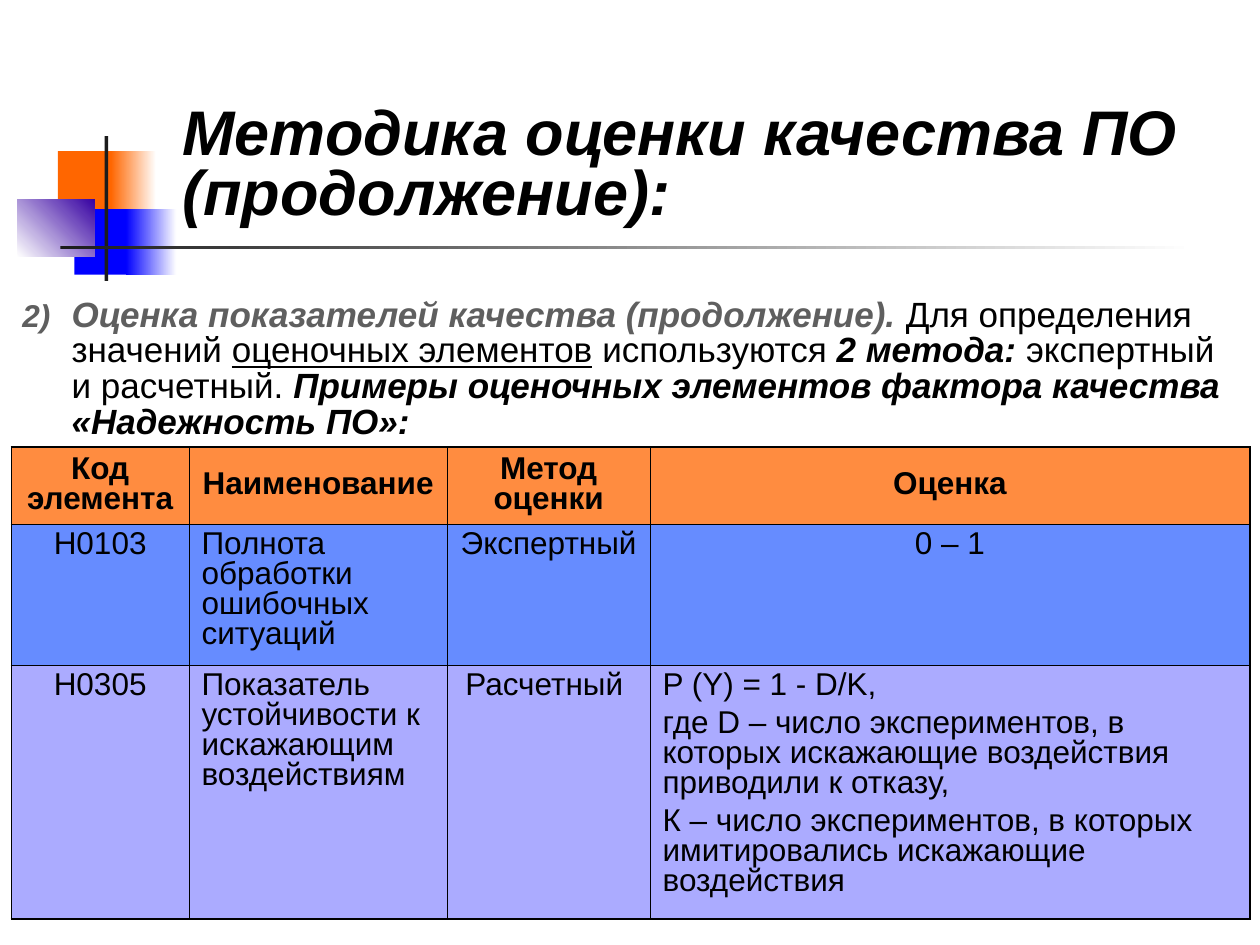
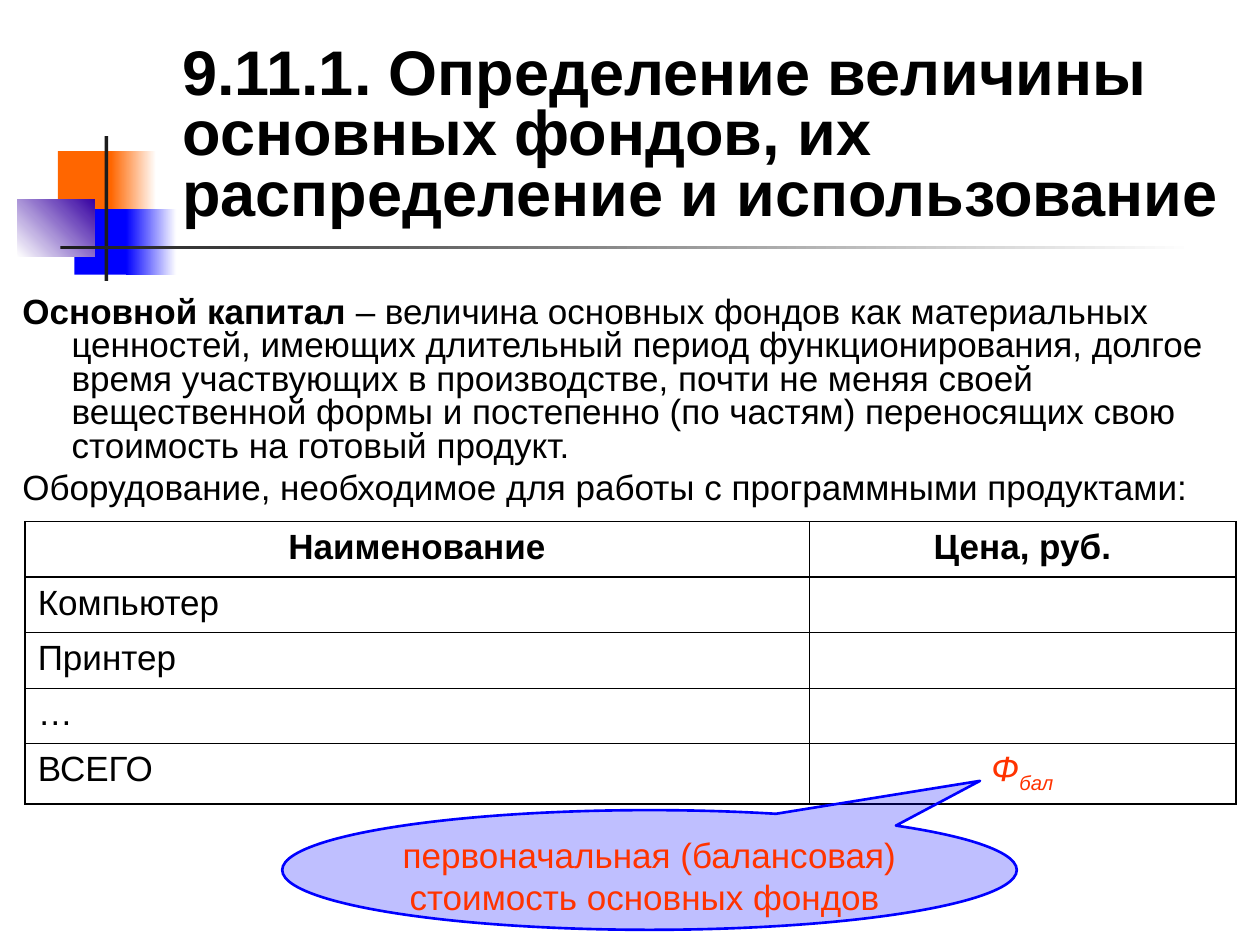
from dataclasses import dataclass

from pptx import Presentation
from pptx.dml.color import RGBColor
from pptx.enum.shapes import MSO_SHAPE as Preset
from pptx.enum.text import MSO_ANCHOR as Anchor, PP_ALIGN as Align
from pptx.oxml import parse_xml
from pptx.oxml.ns import nsdecls, qn
from pptx.util import Inches, Pt


@dataclass(frozen=True)
class Theme:
    font: str = "Arial"
    title: str = "333399"
    text: str = "000000"
    muted: str = "5F5F5F"
    accent: str = "FF3300"
    orange: str = "FF6600"
    blue: str = "0000FF"
    purple: str = "3702A2"
    dark: str = "1C1C1C"
    white: str = "FFFFFF"
    row_blue: str = "3366FF"
    row_lilac: str = "ABABFF"
    title_size: float = 36
    body_size: float = 20
    cell_size: float = 18
    thick: float = 1.08
    thin: float = 0.45


THEME = Theme()
BOLD = {"bold": True}
BOLD_ITALIC = {"bold": True, "italic": True}
MUTED = {**BOLD_ITALIC, "color": THEME.muted}
FORMULA = {"italic": True, "color": THEME.accent}

# Decoration beside the title: box, start colour, end colour, angle
DECORATION = [
    ((0.46, 1.2, 0.48, 0.52), THEME.orange, None, 0),
    ((0.88, 1.2, 0.36, 0.52), THEME.orange, THEME.white, 0),
    ((0.59, 1.66, 0.46, 0.52), THEME.blue, None, 0),
    ((1, 1.66, 0.4, 0.52), THEME.blue, THEME.white, 0),
    ((0.14, 1.58, 0.61, 0.46), THEME.white, THEME.purple, 45),
    ((0.83, 1.08, 0.03, 1.15), THEME.dark, None, 0),
    ((0.48, 1.95, 9, 0.03), THEME.dark, THEME.white, 0),
]

# A paragraph is a list of (text, format) runs
QUALITY = {
    "title": [("Методика оценки качества ПО (продолжение):", BOLD_ITALIC)],
    "title_box": (1.35, 0.13, 8.53, 1.73),
    "body": [[
        ("Оценка показателей качества (продолжение). ", MUTED),
        ("Для определения значений ", {}),
        ("оценочных элементов", {"underline": True}),
        (" используются ", {}),
        ("2 метода:", BOLD_ITALIC),
        (" экспертный и расчетный. ", {}),
        ("Примеры оценочных элементов фактора качества «Надежность ПО»:", BOLD_ITALIC),
    ]],
    "body_box": (0.08, 2.32, 9.86, 5.06),
    "body_spacing": 0.85,
    "first_number": 2,
    "table": {
        "at": (0.09, 3.55),
        "columns": [1.41, 2.05, 1.61, 4.76],
        "heights": [0.61, 1.12, 2.01],
        "rows": [
            ["Код элемента", "Наименование", "Метод оценки", "Оценка"],
            ["Н0103", "Полнота обработки ошибочных ситуаций", "Экспертный", "0 – 1"],
            ["Н0305", "Показатель устойчивости к искажающим воздействиям", "Расчетный ", [
                "P (Y) = 1 - D/K,",
                "где D – число экспериментов, в которых искажающие воздействия "
                "приводили к отказу,",
                "К – число экспериментов, в которых имитировались искажающие воздействия",
            ]],
        ],
        "fills": [(THEME.orange, 75), (THEME.row_blue, 75), (THEME.row_lilac, 100)],
        "left_cells": {(1, 1), (2, 1), (2, 3)},
        "size": THEME.cell_size,
        "line_spacing": 0.85,
        "space_before": 4.5,
        "header_anchor": Anchor.MIDDLE,
        "thick_rules": {0, 3},
    },
}

FUNDS = {
    "title": [("9.11.1. Определение величины основных фондов, их распределение "
               "и использование", BOLD)],
    "title_box": (1.35, 0.21, 8.53, 1.65),
    "body": [
        [("Основной капитал", BOLD),
         (" – величина основных фондов как материальных ценностей, имеющих длительный "
          "период функционирования, долгое время участвующих в производстве, почти не "
          "меняя своей вещественной формы и постепенно (по частям) переносящих свою "
          "стоимость на готовый продукт.", {})],
        [("Оборудование, необходимое для работы с программными продуктами:", {})],
    ],
    "body_box": (0.08, 2.31, 9.86, 1.84),
    "body_spacing": 0.8,
    "table": {
        "at": (0.2, 4.14),
        "columns": [6.22, 3.39],
        "heights": [0.44] * 4 + [0.48],
        "rows": [
            ["Наименование", "Цена, руб."],
            ["Компьютер", ""],
            ["Принтер", ""],
            ["…", ""],
            ["ВСЕГО", [[("Ф", FORMULA), ("бал", {**FORMULA, "baseline": -25})]]],
        ],
        "fills": [None] * 5,
        "left_cells": {(row, 0) for row in range(1, 5)},
        "size": THEME.body_size,
        "line_spacing": 1.0,
        "space_before": 5,
        "header_anchor": Anchor.TOP,
        "thick_rules": {0, 1, 5},
    },
    "callout": {
        "box": (2.24, 6.43, 5.83, 0.95),
        "tip": (0.45, -0.745),
        "text": [("первоначальная (балансовая) стоимость основных фондов ",
                  {"color": THEME.accent})],
    },
}


def inches(box):
    return [Inches(value) for value in box]


def rgb(color):
    return RGBColor.from_string(color)


def paint(fill, element, color, opacity=100):
    fill.solid()
    fill.fore_color.rgb = rgb(color)
    if opacity < 100:
        color_node = element.find(".//" + qn("a:srgbClr"))
        color_node.append(parse_xml(f'<a:alpha {nsdecls("a")} val="{opacity * 1000}"/>'))


def write(frame, paragraphs, size, space_before=0, **layout):
    """Fill a text frame with paragraphs of formatted runs."""
    frame.word_wrap = True
    for index, runs in enumerate(paragraphs):
        paragraph = frame.add_paragraph() if index else frame.paragraphs[0]
        settings = {**layout, "space_before": Pt(space_before if index else 0)}
        for name, value in settings.items():
            setattr(paragraph, name, value)
        for text, style in runs:
            run = paragraph.add_run()
            run.text = text
            font = {"name": THEME.font, "size": Pt(size), "bold": False, **style}
            run.font.color.rgb = rgb(font.pop("color", THEME.text))
            baseline = font.pop("baseline", 0)
            for name, value in font.items():
                setattr(run.font, name, value)
            if baseline:
                run.font._element.set("baseline", str(baseline * 1000))


def add_decoration(slide):
    for box, start, end, angle in DECORATION:
        shape = slide.shapes.add_shape(Preset.RECTANGLE, *inches(box))
        shape.shadow.inherit = False
        shape.line.fill.background()
        if end is None:
            paint(shape.fill, shape._element.spPr, start)
            continue
        shape.fill.gradient()
        shape.fill.gradient_angle = angle
        for stop, color, position in zip(shape.fill.gradient_stops, (start, end), (0, 1)):
            stop.color.rgb = rgb(color)
            stop.position = position


def add_title(slide, content):
    frame = slide.shapes.add_textbox(*inches(content["title_box"])).text_frame
    frame.vertical_anchor = Anchor.BOTTOM
    write(frame, [content["title"]], THEME.title_size, line_spacing=0.8)


def add_body(slide, content):
    frame = slide.shapes.add_textbox(*inches(content["body_box"])).text_frame
    write(frame, content["body"], THEME.body_size, 5, line_spacing=content["body_spacing"])
    for paragraph in frame.paragraphs:
        properties = paragraph._p.get_or_add_pPr()
        properties.set("marL", str(Inches(0.39)))
        properties.set("indent", str(-Inches(0.39)))
        if "first_number" in content:
            for node in (
                f'<a:buClr {nsdecls("a")}><a:srgbClr val="{THEME.muted}"/></a:buClr>',
                f'<a:buSzPct {nsdecls("a")} val="90000"/>',
                f'<a:buAutoNum {nsdecls("a")} type="arabicParenR" '
                f'startAt="{content["first_number"]}"/>',
            ):
                properties.append(parse_xml(node))


def set_borders(cell, widths):
    properties = cell._tc.get_or_add_tcPr()
    for index, (side, width) in enumerate(widths.items()):
        properties.insert(index, parse_xml(
            f'<a:ln{side} {nsdecls("a")} w="{Pt(width)}"><a:solidFill>'
            f'<a:srgbClr val="{THEME.text}"/></a:solidFill></a:ln{side}>'))


def as_paragraphs(value, style):
    lines = value if isinstance(value, list) else [value] if value else []
    return [[(line, style)] if isinstance(line, str) else line for line in lines]


def add_table(slide, spec):
    columns, heights = spec["columns"], spec["heights"]
    box = (*spec["at"], sum(columns), sum(heights))
    table = slide.shapes.add_table(len(heights), len(columns), *inches(box)).table
    table.first_row = table.horz_banding = False
    for column, width in zip(table.columns, columns):
        column.width = Inches(width)
    for row, height in zip(table.rows, heights):
        row.height = Inches(height)

    def weight(is_thick):
        return THEME.thick if is_thick else THEME.thin

    for r, (values, fill) in enumerate(zip(spec["rows"], spec["fills"])):
        for c, value in enumerate(values):
            cell = table.cell(r, c)
            cell.vertical_anchor = Anchor.TOP if r else spec["header_anchor"]
            write(cell.text_frame, as_paragraphs(value, {} if r else BOLD),
                  spec["size"], spec["space_before"], line_spacing=spec["line_spacing"],
                  alignment=Align.LEFT if (r, c) in spec["left_cells"] else Align.CENTER)
            if fill:
                paint(cell.fill, cell._tc.get_or_add_tcPr(), *fill)
            else:
                cell.fill.background()
            set_borders(cell, {
                "L": weight(c == 0),
                "R": weight(c == len(columns) - 1),
                "T": weight(r in spec["thick_rules"]),
                "B": weight(r + 1 in spec["thick_rules"]),
            })


def add_callout(slide, spec):
    shape = slide.shapes.add_shape(Preset.OVAL_CALLOUT, *inches(spec["box"]))
    shape.shadow.inherit = False
    for index, value in enumerate(spec["tip"]):
        shape.adjustments[index] = value
    paint(shape.fill, shape._element.spPr, THEME.blue, 25)
    shape.line.color.rgb = rgb(THEME.blue)
    shape.line.width = Pt(1.5)
    shape.text_frame.vertical_anchor = Anchor.TOP
    write(shape.text_frame, [spec["text"]], THEME.body_size, alignment=Align.CENTER)


def main():
    presentation = Presentation()
    presentation.slide_width, presentation.slide_height = inches((10, 7.5))
    for content in (QUALITY, FUNDS):
        slide = presentation.slides.add_slide(presentation.slide_layouts[6])
        add_decoration(slide)
        add_title(slide, content)
        add_body(slide, content)
        add_table(slide, content["table"])
        if "callout" in content:
            add_callout(slide, content["callout"])
    presentation.save("out.pptx")


if __name__ == "__main__":
    main()
